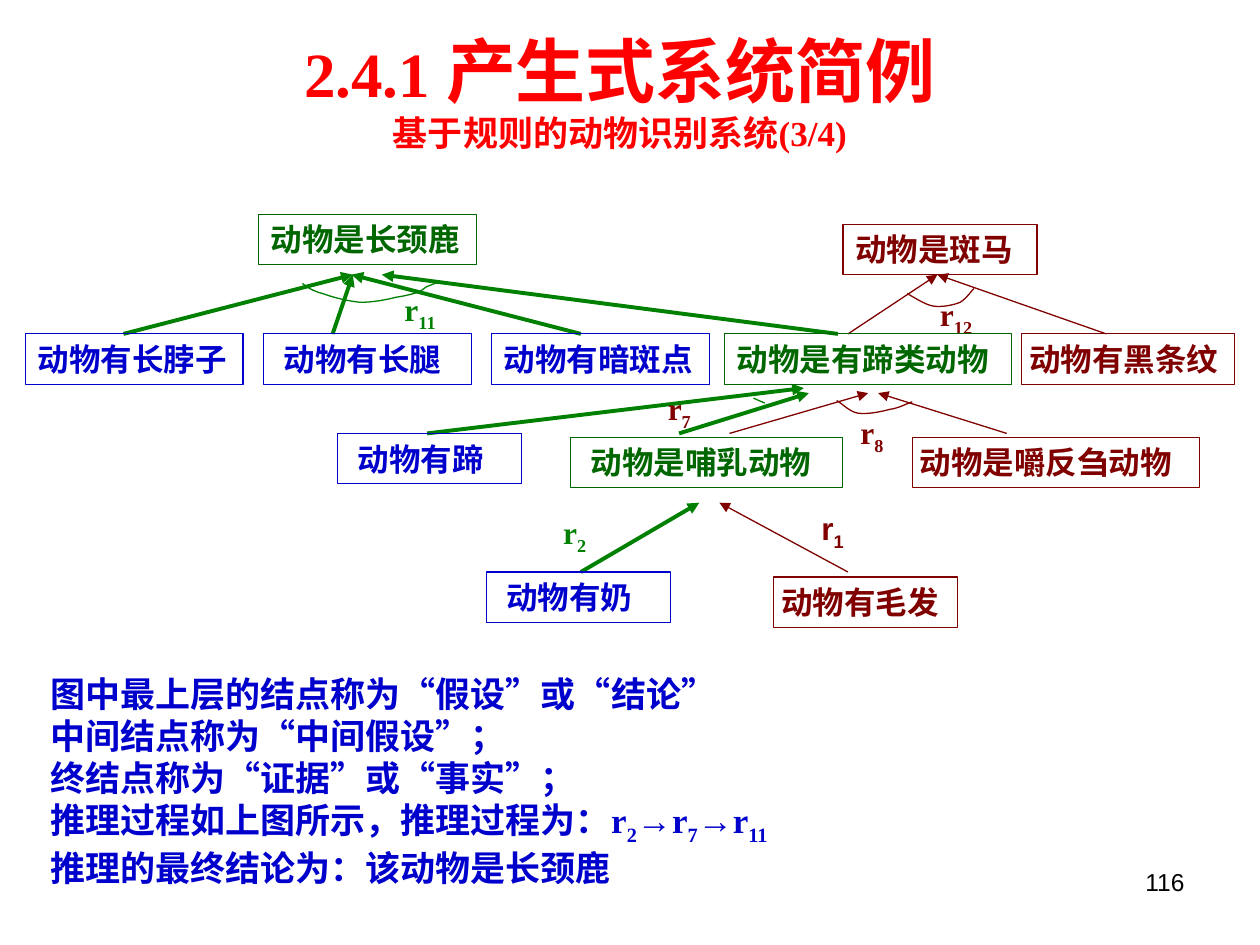
from lxml import etree
from pptx import Presentation
from pptx.dml.color import RGBColor
from pptx.enum.shapes import MSO_CONNECTOR, MSO_SHAPE
from pptx.enum.text import MSO_ANCHOR, PP_ALIGN
from pptx.oxml.ns import qn
from pptx.util import Inches, Pt

RECTANGLE = MSO_SHAPE.RECTANGLE
STRAIGHT = MSO_CONNECTOR.STRAIGHT
TOP, MIDDLE = MSO_ANCHOR.TOP, MSO_ANCHOR.MIDDLE
LEFT, CENTER, RIGHT = PP_ALIGN.LEFT, PP_ALIGN.CENTER, PP_ALIGN.RIGHT

BLACK = RGBColor(0x00, 0x00, 0x00)
RED = RGBColor(0xFF, 0x00, 0x00)
BLUE = RGBColor(0x00, 0x00, 0xCC)
GREEN = RGBColor(0x00, 0x80, 0x00)
DARK_GREEN = RGBColor(0x00, 0x66, 0x00)
MAROON = RGBColor(0x80, 0x00, 0x00)

SERIF, SANS = "Times New Roman", "Arial"
THICK, THIN = 2.25, 0.75
NODE_HEIGHT = 0.4
WIDE, INDENTED, NARROW = 0.1, 0.16, 0.06  # left insets of the nodes

# Nodes: text, left, top, width, colour, left inset
NODES = [
    ("动物是长颈鹿", 2.05, 1.7, 1.73, DARK_GREEN, WIDE),
    ("动物是斑马", 6.69, 1.78, 1.54, MAROON, WIDE),
    ("动物有长脖子", 0.2, 2.65, 1.73, BLUE, WIDE),
    ("动物有长腿", 2.09, 2.65, 1.65, BLUE, INDENTED),
    ("动物有暗斑点", 3.9, 2.65, 1.73, BLUE, WIDE),
    ("动物是有蹄类动物", 5.75, 2.65, 2.28, DARK_GREEN, WIDE),
    ("动物有黑条纹", 8.11, 2.65, 1.69, MAROON, NARROW),
    ("动物有蹄", 2.68, 3.44, 1.46, BLUE, INDENTED),
    ("动物是哺乳动物", 4.53, 3.47, 2.16, DARK_GREEN, INDENTED),
    ("动物是嚼反刍动物", 7.24, 3.47, 2.28, MAROON, NARROW),
    ("动物有奶", 3.86, 4.54, 1.46, BLUE, INDENTED),
    ("动物有毛发", 6.14, 4.58, 1.46, MAROON, NARROW),
]

# Arrows: start, end, colour, width
ARROWS = [
    ((0.98, 2.65), (2.8, 2.18), GREEN, THICK),
    ((2.64, 2.65), (2.8, 2.18), GREEN, THICK),
    ((4.61, 2.65), (2.79, 2.18), GREEN, THICK),
    ((6.65, 2.65), (3.03, 2.18), GREEN, THICK),
    ((6.73, 2.65), (7.44, 2.18), MAROON, THIN),
    ((8.78, 2.65), (7.44, 2.18), MAROON, THIN),
    ((3.39, 3.44), (6.38, 3.08), GREEN, THICK),
    ((5.39, 3.44), (6.42, 3.12), GREEN, THICK),
    ((7.99, 3.44), (6.97, 3.12), MAROON, THIN),
    ((5.79, 3.44), (6.89, 3.12), MAROON, THIN),
    ((6.73, 4.54), (5.71, 3.99), MAROON, THIN),
    ((4.61, 4.54), (5.55, 3.99), GREEN, THICK),
]

# "And" arcs: a start point, then three Bezier points for each segment
ARCS = [
    (GREEN, [(2.4, 2.25), (2.44, 2.28), (2.48, 2.31), (2.56, 2.33),
             (2.64, 2.36), (2.76, 2.39), (2.86, 2.4),
             (2.95, 2.4), (3.07, 2.38), (3.14, 2.36),
             (3.22, 2.35), (3.28, 2.33), (3.32, 2.32),
             (3.36, 2.3), (3.37, 2.28), (3.4, 2.27),
             (3.43, 2.26), (3.47, 2.24), (3.49, 2.24)]),
    (MAROON, [(7.2, 2.33), (7.24, 2.35), (7.34, 2.42), (7.41, 2.43),
              (7.48, 2.44), (7.57, 2.42), (7.62, 2.4),
              (7.67, 2.37), (7.71, 2.31), (7.73, 2.29)]),
    (MAROON, [(6.64, 3.18), (6.67, 3.19), (6.74, 3.27), (6.81, 3.28),
              (6.88, 3.29), (6.99, 3.27), (7.06, 3.25),
              (7.14, 3.24), (7.2, 3.2), (7.24, 3.19)]),
    (GREEN, [(5.98, 3.16), (6, 3.17), (6.05, 3.19), (6.07, 3.2)]),
]

# Rule labels: number, left, top, width, height, colour, font, insets
RULES = [
    ("11", 3.19, 2.29, 0.47, 0.36, GREEN, SERIF, (0.02, 0.01)),
    ("12", 7.44, 2.33, 0.59, 0.36, MAROON, SERIF, (0.02, 0.01)),
    ("7", 5.28, 3.08, 0.43, 0.36, MAROON, SERIF, (0.02, 0.01)),
    ("8", 6.73, 3.23, 0.47, 0.44, MAROON, SERIF, (0.1, 0.05)),
    ("2", 4.45, 4.06, 0.43, 0.36, GREEN, SERIF, (0.02, 0.01)),
    ("1", 6.42, 3.99, 0.47, 0.44, MAROON, SANS, (0.1, 0.05)),
]

# Explanation: one line each, as (text, is subscript) runs
EXPLANATION = [
    [("图中最上层的结点称为“假设”或“结论”", False)],
    [("中间结点称为“中间假设”；", False)],
    [("终结点称为“证据”或“事实”；", False)],
    [("推理过程如上图所示，推理过程为：r", False), ("2", True),
     ("→r", False), ("7", True), ("→r", False), ("11", True)],
    [("推理的最终结论为：该动物是长颈鹿", False)],
]


def set_frame(shape, insets=(0.1, 0.05), anchor=TOP):
    frame = shape.text_frame
    frame.word_wrap = True
    frame.vertical_anchor = anchor
    frame.margin_left = frame.margin_right = Inches(insets[0])
    frame.margin_top = frame.margin_bottom = Inches(insets[1])
    return frame


def add_text_box(slide, left, top, width, height, **options):
    box = slide.shapes.add_textbox(Inches(left), Inches(top),
                                   Inches(width), Inches(height))
    return set_frame(box, **options)


def style_paragraph(paragraph, size, color, font=SERIF, bold=True, align=LEFT):
    paragraph.alignment = align
    paragraph.font.size = Pt(size)
    paragraph.font.name = font
    paragraph.font.bold = bold
    paragraph.font.color.rgb = color


def add_run(paragraph, text, subscript=False, size=None):
    run = paragraph.add_run()
    run.text = text
    if size:
        run.font.size = Pt(size)
    if subscript:
        run._r.get_or_add_rPr().set("baseline", "-25000")


def set_line(shape, color, width):
    shape.line.color.rgb = color
    shape.line.width = Pt(width)


def add_arrow(slide, start, end, color, width):
    points = [Inches(value) for value in (*start, *end)]
    arrow = slide.shapes.add_connector(STRAIGHT, *points)
    set_line(arrow, color, width)
    line = arrow.line._get_or_add_ln()
    etree.SubElement(line, qn("a:tailEnd"), type="triangle")
    etree.SubElement(arrow._element.spPr, qn("a:effectLst"))


def bezier_points(points, steps=8):
    """Sample a chain of cubic Bezier segments, start point included."""
    yield points[0]
    for first in range(0, len(points) - 1, 3):
        a, b, c, d = points[first:first + 4]
        for step in range(1, steps + 1):
            t = step / steps
            u = 1 - t
            weights = (u ** 3, 3 * u * u * t, 3 * u * t * t, t ** 3)
            yield tuple(sum(weight * value for weight, value in zip(weights, axis))
                        for axis in zip(a, b, c, d))


def add_arc(slide, color, points):
    start, *others = [(Inches(x), Inches(y)) for x, y in bezier_points(points)]
    builder = slide.shapes.build_freeform(*start)
    builder.add_line_segments(others, close=False)
    arc = builder.convert_to_shape()
    arc.shadow.inherit = False
    arc.fill.background()
    set_line(arc, color, THIN)


def add_rule_label(slide, number, left, top, width, height, color, font, insets):
    frame = add_text_box(slide, left, top, width, height, insets=insets)
    paragraph = frame.paragraphs[0]
    style_paragraph(paragraph, 18, color, font)
    add_run(paragraph, "r")
    add_run(paragraph, number, subscript=True)


def add_node(slide, text, left, top, width, color, left_inset):
    node = slide.shapes.add_shape(RECTANGLE, Inches(left), Inches(top),
                                  Inches(width), Inches(NODE_HEIGHT))
    node.shadow.inherit = False
    node.fill.background()
    set_line(node, color, THIN)
    frame = set_frame(node, insets=(NARROW, 0.05))
    frame.margin_left = Inches(left_inset)
    frame.text = text
    style_paragraph(frame.paragraphs[0], 18, color)


def add_title(slide):
    paragraph = add_text_box(slide, 0.25, 0.21, 9.34, 1.02, anchor=MIDDLE).paragraphs[0]
    style_paragraph(paragraph, 40, RED, align=CENTER)
    add_run(paragraph, "2.4.1 ", size=36)
    add_run(paragraph, "产生式系统简例", size=40)
    paragraph.add_line_break()
    add_run(paragraph, "基于规则的动物识别系统(3/4)", size=20)


def add_explanation(slide):
    frame = add_text_box(slide, 0.3, 5.29, 9.57, 1.82)
    for index, runs in enumerate(EXPLANATION):
        paragraph = frame.add_paragraph() if index else frame.paragraphs[0]
        style_paragraph(paragraph, 20, BLUE)
        for text, subscript in runs:
            add_run(paragraph, text, subscript)


def add_page_number(slide):
    frame = add_text_box(slide, 7.17, 6.83, 2.33, 0.52)
    frame.text = "116"
    style_paragraph(frame.paragraphs[0], 14, BLACK, SANS, bold=False, align=RIGHT)


def main():
    presentation = Presentation()
    presentation.slide_width, presentation.slide_height = Inches(10), Inches(7.5)
    slide = presentation.slides.add_slide(presentation.slide_layouts[6])

    add_title(slide)
    # Inference network
    for add_element, rows in ((add_arrow, ARROWS), (add_arc, ARCS),
                              (add_rule_label, RULES), (add_node, NODES)):
        for row in rows:
            add_element(slide, *row)
    add_explanation(slide)
    add_page_number(slide)
    presentation.save("out.pptx")


if __name__ == "__main__":
    main()
